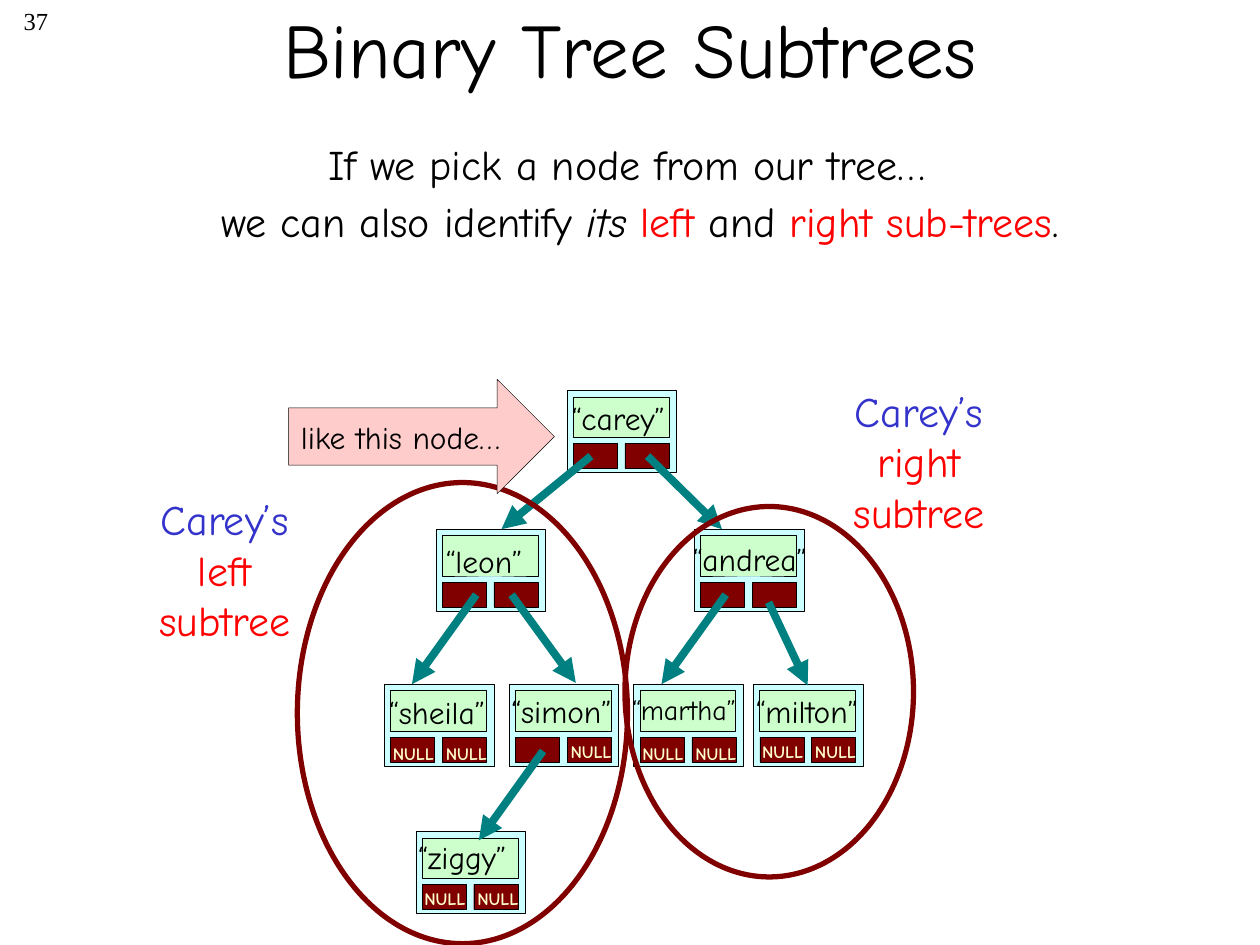
from dataclasses import dataclass
from lxml import etree
from pptx import Presentation
from pptx.dml.color import RGBColor
from pptx.enum.shapes import MSO_CONNECTOR, MSO_SHAPE
from pptx.enum.text import MSO_ANCHOR, MSO_AUTO_SIZE, PP_ALIGN
from pptx.oxml.ns import qn
from pptx.util import Inches, Pt

RECT, OVAL, ARROW = MSO_SHAPE.RECTANGLE, MSO_SHAPE.OVAL, MSO_SHAPE.RIGHT_ARROW
STRAIGHT = MSO_CONNECTOR.STRAIGHT
MIDDLE, TOP = MSO_ANCHOR.MIDDLE, MSO_ANCHOR.TOP
LEFT, CENTER, RIGHT = PP_ALIGN.LEFT, PP_ALIGN.CENTER, PP_ALIGN.RIGHT
GROW = MSO_AUTO_SIZE.SHAPE_TO_FIT_TEXT


@dataclass(frozen=True)
class Theme:
    """Colours, fonts and type sizes of the slide."""
    ink: str = "000000"
    red: str = "FF0000"
    blue: str = "3333CC"
    node: str = "CCFFFF"
    name: str = "CCFFCC"
    maroon: str = "800000"
    null: str = "FFFFCC"
    teal: str = "008080"
    pink: str = "FFCCCC"
    font: str = "Comic Neue"
    serif: str = "Times New Roman"
    title: int = 44
    body: int = 24
    label: int = 18
    page: int = 14
    small: int = 10


T = Theme()

# name, left, top, label shift x and y, label width, label size, NULL sides, NULL shift y
NODES = [
    ("carey", 4.5, 3.1, -0.06, 0.02, 1.04, T.label, (), 0),
    ("leon", 3.46, 4.2, -0.02, 0.05, 0.87, T.label, (), 0),
    ("andrea", 5.51, 4.2, -0.11, 0.04, 1.19, T.label, (), 0),
    ("sheila", 3.05, 5.43, -0.06, 0.02, 1.07, T.label, (0, 1), 0.42),
    ("simon", 4.04, 5.43, -0.08, 0.01, 1.05, T.label, (1,), 0.4),
    ("martha", 5.03, 5.43, -0.11, 0.02, 1.13, 16, (0, 1), 0.42),
    ("milton", 5.98, 5.43, -0.08, 0.01, 1.11, T.label, (0, 1), 0.4),
    ("ziggy", 3.3, 6.6, -0.08, 0, 1, T.label, (0, 1), 0.4),
]
LINKS = [
    (4.69, 3.62, 3.98, 4.2), (5.14, 3.62, 5.73, 4.2),
    (3.78, 4.72, 3.27, 5.43), (4.06, 4.72, 4.57, 5.42),
    (5.76, 4.72, 5.25, 5.43), (6.1, 4.78, 6.41, 5.44),
    (4.31, 5.96, 3.8, 6.67),
]


def rgb(code):
    """Turn a hex code into a colour."""
    return RGBColor.from_string(code)


def write(frame, runs, size, align=LEFT, font=T.font, bold=False):
    """Fill a frame with one paragraph of (text, colour[, italic]) runs."""
    para = frame.paragraphs[0]
    para.alignment = align
    para.font.size, para.font.name, para.font.bold = Pt(size), font, bold
    for words, color, *slant in runs:
        run = para.add_run()
        run.text = words
        run.font.color.rgb = rgb(color)
        if slant:
            run.font.italic = True


def add_text(parts, box, runs, size, align=LEFT, wrap=True, anchor=TOP, grow=True, **style):
    """Place a text box."""
    frame = parts.add_textbox(*map(Inches, box)).text_frame
    frame.word_wrap, frame.vertical_anchor = wrap, anchor
    if grow:
        frame.auto_size = GROW
    write(frame, runs, size, align, **style)
    return frame


def add_box(parts, kind, box, fill=None, line=T.ink, width=0.25):
    """Place a preset shape with a plain fill and outline."""
    shape = parts.add_shape(kind, *map(Inches, box))
    shape.shadow.inherit = False
    if fill:
        shape.fill.solid()
        shape.fill.fore_color.rgb = rgb(fill)
    else:
        shape.fill.background()
    shape.line.color.rgb = rgb(line)
    shape.line.width = Pt(width)
    return shape


def add_link(parts, ends):
    """Draw a pointer arrow from one node to its child."""
    link = parts.add_connector(STRAIGHT, *map(Inches, ends))
    link.line.color.rgb = rgb(T.teal)
    link.line.width = Pt(4.5)
    props = link._element.spPr
    etree.SubElement(props.find(qn("a:ln")), qn("a:tailEnd"), type="triangle")
    etree.SubElement(props, qn("a:effectLst"))


def add_node(parts, name, x, y, dx, dy, wide, size, nulls, drop):
    """Draw a tree node: frame, name field and two pointer cells."""
    add_box(parts, RECT, (x, y, 0.87, 0.65), T.node)
    for side in range(2):
        add_box(parts, RECT, (x + 0.05 + 0.41 * side, y + 0.42, 0.35, 0.2), T.maroon)
    add_box(parts, RECT, (x + 0.05, y + 0.05, 0.76, 0.32), T.name)
    for side in nulls:
        add_text(parts, (x - 0.03 + 0.42 * side, y + drop, 0.57, 0.27),
                 [("NULL", T.null)], T.small, wrap=False, bold=True)
    add_text(parts, (x + dx, y + dy, wide, 0.4), [(f"“{name}”", T.ink)], size, wrap=False)


def add_tree(slide):
    """Draw all nodes and the pointers between them as one group."""
    parts = slide.shapes.add_group_shape().shapes
    for node in NODES:
        add_node(parts, *node)
    for ends in LINKS:
        add_link(parts, ends)


def add_ring(slide, box, side, shift):
    """Circle a subtree and label it, the label shifted from the ring's corner."""
    parts = slide.shapes.add_group_shape().shapes
    add_box(parts, OVAL, box, line=T.maroon, width=3)
    add_text(parts, (box[0] + shift[0], box[1] + shift[1], 1.57, 1.31),
             [("Carey’s ", T.blue), (f"{side} subtree", T.red)], T.body, CENTER)


def add_hint(slide, box):
    """Draw the block arrow that points at the chosen node."""
    frame = add_box(slide.shapes, ARROW, box, T.pink).text_frame
    frame.word_wrap, frame.vertical_anchor = True, MIDDLE
    frame.margin_right = 0
    write(frame, [("like this node…", T.ink)], T.label)


def add_head(slide, box):
    """Place the page number, the title and the two lines under it."""
    x, y, wide, high = box
    parts = slide.shapes
    add_text(parts, (0, 0, 0.48, 0.48), [("37", T.ink)], T.page, RIGHT,
             grow=False, font=T.serif)
    title = add_text(parts, (x, y, wide, high), [("Binary Tree Subtrees", T.ink)],
                     T.title, CENTER, anchor=MIDDLE, grow=False)
    title.margin_top = title.margin_bottom = 0
    add_text(parts, (x - 0.22, y + 1.05, 8.89, 0.5),
             [("If we pick a node from our tree…", T.ink)], T.body, CENTER)
    add_text(parts, (x - 0.06, y + 1.5, 8.89, 0.5),
             [("we can also identify ", T.ink), ("its ", T.ink, True), ("left ", T.red),
              ("and ", T.ink), ("right sub-trees", T.red), (". ", T.ink)], T.body, CENTER)


def main():
    """Build the slide and save it."""
    deck = Presentation()
    deck.slide_width, deck.slide_height = Inches(10), Inches(7.5)
    slide = deck.slides.add_slide(deck.slide_layouts[6])
    add_tree(slide)
    add_ring(slide, (2.36, 3.83, 2.62, 3.66), "left", (-1.36, 0.04))
    add_ring(slide, (4.96, 4.02, 2.29, 2.94), "right", (1.55, -1.01))
    add_hint(slide, (2.29, 3.01, 2.11, 0.91))
    add_head(slide, (0.75, 0, 8.5, 0.75))
    deck.save("out.pptx")


main()
